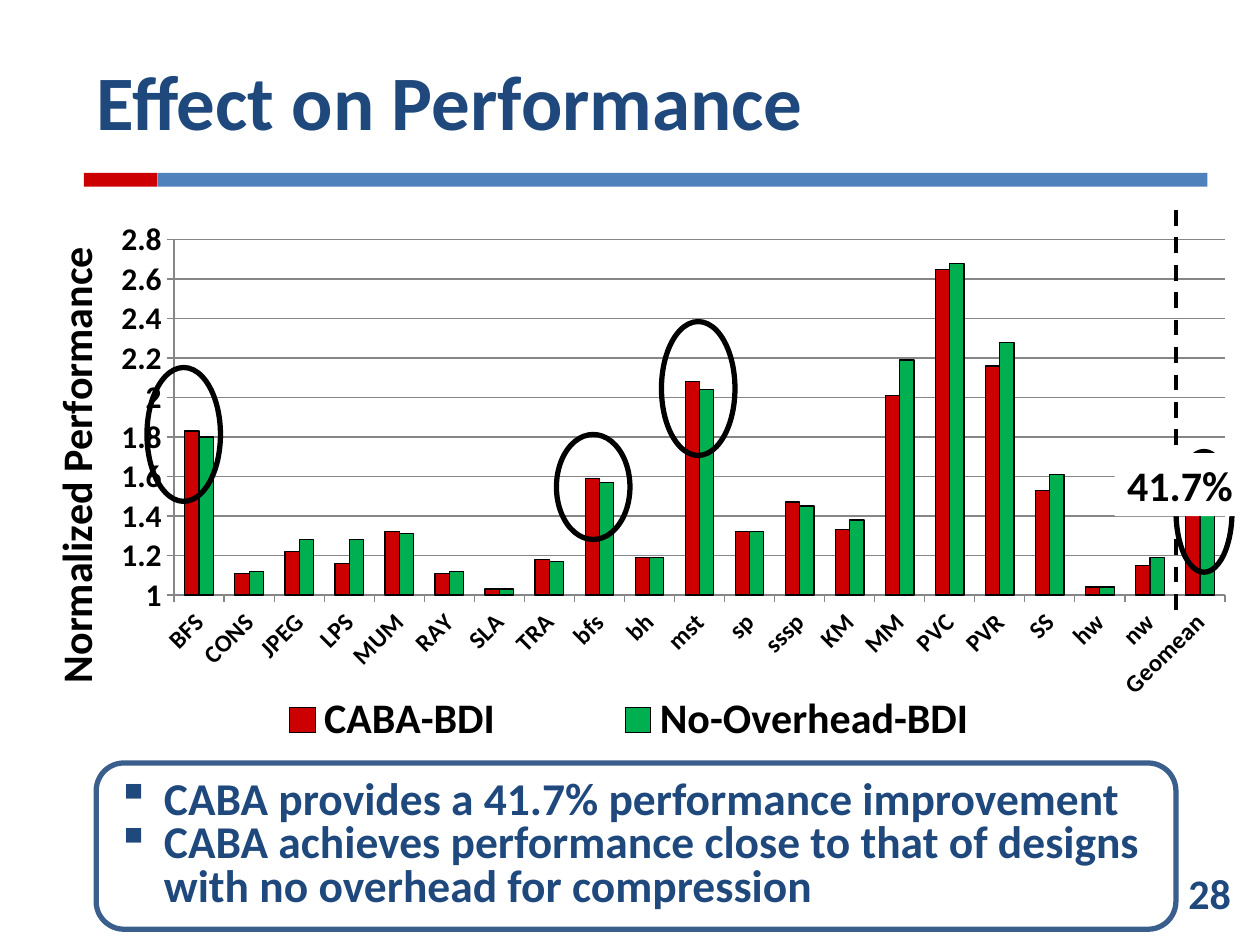
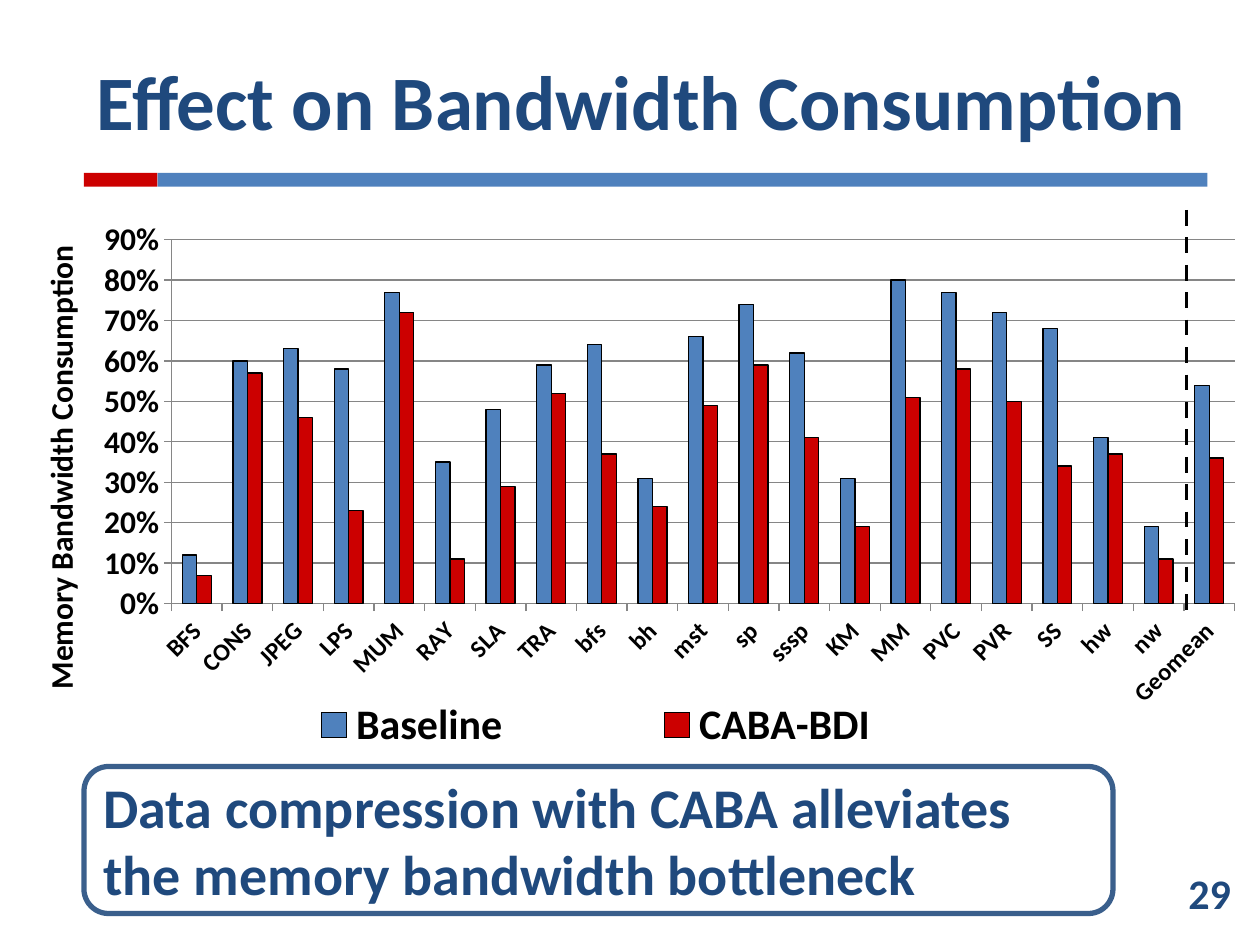
from lxml import etree
from pptx import Presentation
from pptx import util as u
from pptx.chart.data import CategoryChartData
from pptx.dml.color import RGBColor
from pptx.enum import chart as charts, dml, shapes, text
from pptx.oxml.ns import qn

Pt = u.Pt
COLORS = {
    "navy": "1F497D", "blue": "4F81BD", "red": "CC0000", "green": "00B050",
    "border": "3A5F8C", "grid": "868686", "black": "000000", "white": "FFFFFF",
}
FONT = "Calibri"
BENCHMARKS = ("BFS CONS JPEG LPS MUM RAY SLA TRA bfs bh mst sp sssp KM MM "
              "PVC PVR SS hw nw Geomean").split()


def color(name):
    return RGBColor.from_string(COLORS[name])


def set_font(font, size, name="black"):
    font.name, font.size, font.bold = FONT, Pt(size), True
    font.color.rgb = color(name)


def set_layout(element, index, frame, inside, inner=False):
    """Place a chart part; inside is its box on the slide, in points."""
    for old in element.findall(qn("c:layout")):
        element.remove(old)
    layout = etree.Element(qn("c:layout"))
    manual = etree.SubElement(layout, qn("c:manualLayout"))
    if inner:
        etree.SubElement(manual, qn("c:layoutTarget")).set("val", "inner")
    for key in ("xMode", "yMode"):
        etree.SubElement(manual, qn("c:" + key)).set("val", "edge")
    left, top, width, height = frame
    fractions = [(inside[0] - left) / width, (inside[1] - top) / height]
    if len(inside) == 4:
        fractions += [inside[2] / width, inside[3] / height]
    for key, value in zip("xywh", fractions):
        etree.SubElement(manual, qn("c:" + key)).set("val", f"{value:.4f}")
    element.insert(index, layout)


class Deck:
    def __init__(self):
        self.presentation = Presentation()
        self.presentation.slide_width = Pt(720)
        self.presentation.slide_height = Pt(540)
        self.slide = None

    def new_slide(self, title, number):
        layout = self.presentation.slide_layouts[5]
        self.slide = self.presentation.slides.add_slide(layout)
        # Title
        shape = self.slide.shapes.title
        shape.left, shape.top, shape.width, shape.height = map(Pt, (48, 18, 642, 78))
        frame = shape.text_frame
        frame.text = title
        frame.vertical_anchor = text.MSO_ANCHOR.MIDDLE
        paragraph = frame.paragraphs[0]
        paragraph.alignment = text.PP_ALIGN.LEFT
        set_font(paragraph.font, 44, "navy")
        # Two-colour band and slide number
        self.shape("RECTANGLE", (48, 98.75, 42, 8), fill="red")
        self.shape("RECTANGLE", (90, 98.75, 600, 8), fill="blue")
        self.label(str(number), (672, 492, 48, 48), "navy")

    def shape(self, kind, box, fill=None, line=None):
        shape = self.slide.shapes.add_shape(
            getattr(shapes.MSO_SHAPE, kind), *map(Pt, box))
        shape.shadow.inherit = False
        if fill:
            shape.fill.solid()
            shape.fill.fore_color.rgb = color(fill)
        else:
            shape.fill.background()
        if line:
            shape.line.color.rgb = color(line)
            shape.line.width = Pt(3)
        else:
            shape.line.fill.background()
        return shape

    def label(self, words, box, ink, fill=None, wrap=True):
        shape = self.slide.shapes.add_textbox(*map(Pt, box))
        if fill:
            shape.fill.solid()
            shape.fill.fore_color.rgb = color(fill)
        frame = shape.text_frame
        frame.word_wrap = wrap
        frame.text = words
        set_font(frame.paragraphs[0].font, 24, ink)

    def divider(self, x):
        line = self.slide.shapes.add_connector(
            shapes.MSO_CONNECTOR.STRAIGHT, Pt(x), Pt(120), Pt(x), Pt(354))
        line.line.color.rgb = color("black")
        line.line.width = Pt(2.25)
        line.line.dash_style = dml.MSO_LINE.DASH
        etree.SubElement(line._element.spPr, qn("a:effectLst"))

    def takeaway(self, box, lines, size, bullets=False):
        frame = self.shape("ROUNDED_RECTANGLE", box, line="border").text_frame
        frame.word_wrap = True
        frame.vertical_anchor = text.MSO_ANCHOR.MIDDLE
        frame.text = "\n".join(lines)
        for paragraph in frame.paragraphs:
            paragraph.alignment = text.PP_ALIGN.LEFT
            set_font(paragraph.font, size, "navy")
            if bullets:
                paragraph.line_spacing = Pt(25)
                properties = paragraph._p.get_or_add_pPr()
                properties.set("marL", str(Pt(27)))
                properties.set("indent", str(-Pt(27)))
                bullet = etree.Element(qn("a:buChar"), char="▪")
                properties.find(qn("a:lnSpc")).addnext(bullet)

    def bar_chart(self, frame, plot, legend_box, series, scale, axis_title,
                  title_size, title_at, number_format="General"):
        data = CategoryChartData(number_format=number_format)
        data.categories = BENCHMARKS
        for name, _, values in series:
            data.add_series(name, values)
        chart = self.slide.shapes.add_chart(
            charts.XL_CHART_TYPE.COLUMN_CLUSTERED, *map(Pt, frame), data).chart
        chart.has_title = False
        chart.font.name, chart.font.size = FONT, Pt(10)
        chart.font.color.rgb = color("black")
        # Bars
        bars = chart.plots[0]
        bars.gap_width = 150
        bars.vary_by_categories = False
        for bar, (_, fill, _) in zip(bars.series, series):
            bar.format.fill.solid()
            bar.format.fill.fore_color.rgb = color(fill)
            bar.format.line.color.rgb = color("black")
            bar.format.line.width = Pt(0.75)
        # Axes
        category, value = chart.category_axis, chart.value_axis
        for axis, size in ((category, 14), (value, 18)):
            axis.major_tick_mark = charts.XL_TICK_MARK.OUTSIDE
            axis.format.line.color.rgb = color("grid")
            set_font(axis.tick_labels.font, size)
        labels = category._element.find(qn("c:txPr")).find(qn("a:bodyPr"))
        labels.set("rot", "-2700000")
        value.minimum_scale, value.maximum_scale, value.major_unit = scale
        value.tick_labels.number_format = number_format
        value.tick_labels.number_format_is_linked = False
        value.has_major_gridlines = True
        value.major_gridlines.format.line.color.rgb = color("grid")
        # Axis title
        title = value.axis_title
        title.text_frame.text = axis_title
        set_font(title.text_frame.paragraphs[0].runs[0].font, title_size)
        body = title.text_frame._txBody.find(qn("a:bodyPr"))
        body.set("rot", "-5400000")
        body.set("vert", "horz")
        # Legend
        chart.has_legend = True
        legend = chart.legend
        legend.position = charts.XL_LEGEND_POSITION.BOTTOM
        legend.include_in_layout = False
        set_font(legend.font, 24)
        # Placement of the chart parts
        plot_area = chart._chartSpace.chart.plotArea
        set_layout(plot_area, 0, frame, plot, inner=True)
        set_layout(title._element, 1, frame, title_at)
        set_layout(legend._element, 1, frame, legend_box)


def performance_slide(deck):
    deck.new_slide("Effect on Performance", 28)
    deck.bar_chart(
        (6, 120, 708, 330), (99.5, 137, 600.5, 203), (99, 395, 521, 33),
        [("CABA-BDI", "red",
          [1.83, 1.11, 1.22, 1.16, 1.32, 1.11, 1.03, 1.18, 1.59, 1.19, 2.08,
           1.32, 1.47, 1.33, 2.01, 2.65, 2.16, 1.53, 1.04, 1.15, 1.42]),
         ("No-Overhead-BDI", "green",
          [1.8, 1.12, 1.28, 1.28, 1.31, 1.12, 1.03, 1.17, 1.57, 1.19, 2.04,
           1.32, 1.45, 1.38, 2.19, 2.68, 2.28, 1.61, 1.04, 1.19, 1.45])],
        (1, 2.8, 0.2), "Normalized Performance", 24, (23, 137))
    deck.takeaway(
        (55, 436, 617, 95),
        ["CABA provides a 41.7% performance improvement",
         "CABA achieves performance close to that of designs "
         "with no overhead for compression"], 26, bullets=True)
    deck.divider(672)
    # Highlighted bars: Geomean, BFS, mst, bfs
    for highlight in ((672, 258, 32, 69), (84, 210, 42, 76.5),
                      (378, 183.75, 42, 76.5), (318, 248.25, 42, 60)):
        deck.shape("OVAL", highlight, line="black")
    deck.label("41.7%", (637, 259, 83, 36), "black", fill="white", wrap=False)


def bandwidth_slide(deck):
    deck.new_slide("Effect on Bandwidth Consumption", 29)
    deck.bar_chart(
        (0, 120, 720, 336), (98, 137, 607.5, 208), (99, 398, 483, 33),
        [("Baseline", "blue",
          [0.12, 0.6, 0.63, 0.58, 0.77, 0.35, 0.48, 0.59, 0.64, 0.31, 0.66,
           0.74, 0.62, 0.31, 0.8, 0.77, 0.72, 0.68, 0.41, 0.19, 0.54]),
         ("CABA-BDI", "red",
          [0.07, 0.57, 0.46, 0.23, 0.72, 0.11, 0.29, 0.52, 0.37, 0.24, 0.49,
           0.59, 0.41, 0.19, 0.51, 0.58, 0.5, 0.34, 0.37, 0.11, 0.36])],
        (0, 0.9, 0.1), "Memory Bandwidth Consumption", 18, (19, 137), "0%")
    deck.divider(678)
    deck.takeaway(
        (48, 438, 588, 84),
        ["Data compression with CABA alleviates the memory bandwidth bottleneck"],
        32)


def main():
    deck = Deck()
    performance_slide(deck)
    bandwidth_slide(deck)
    deck.presentation.save("out.pptx")


if __name__ == "__main__":
    main()
